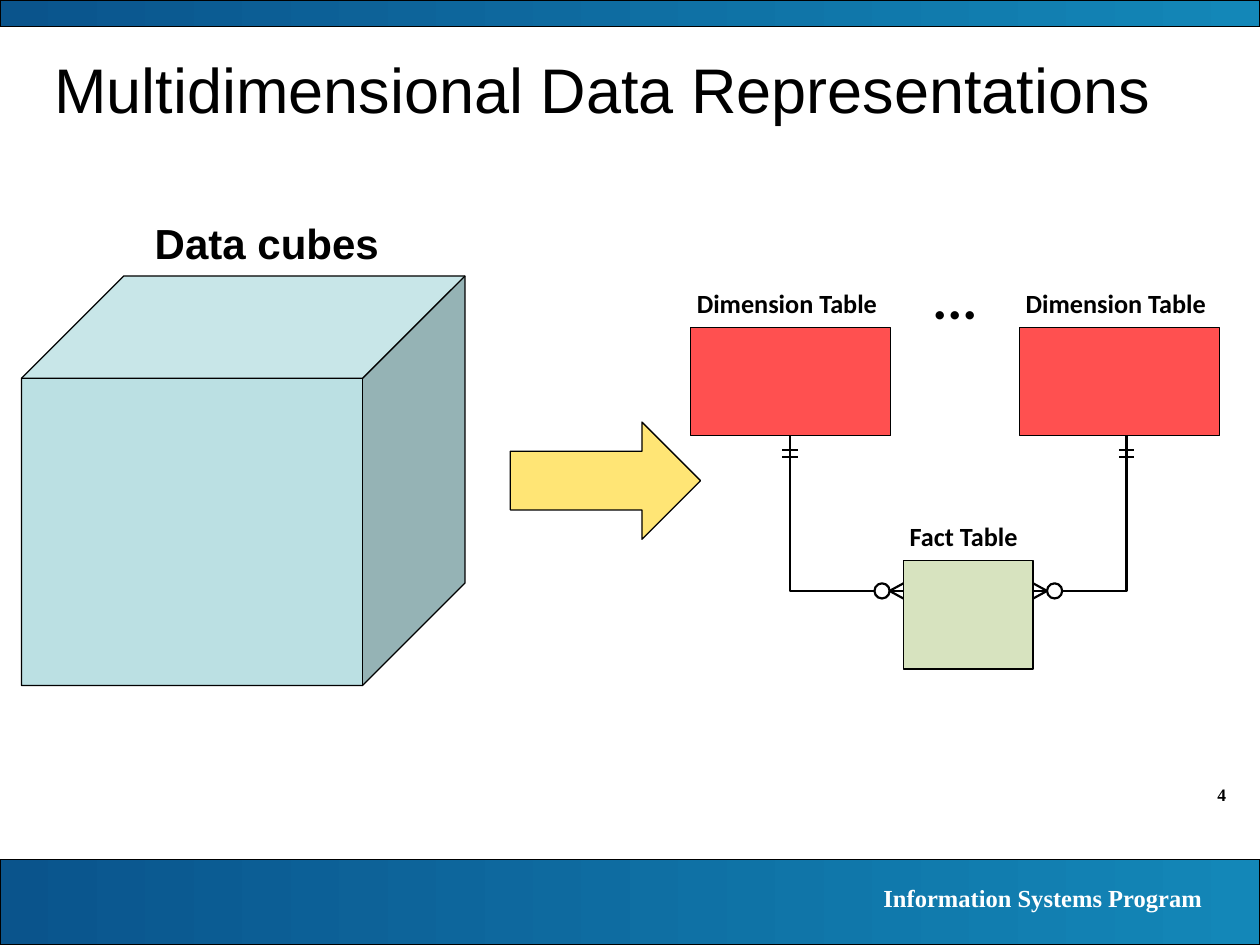
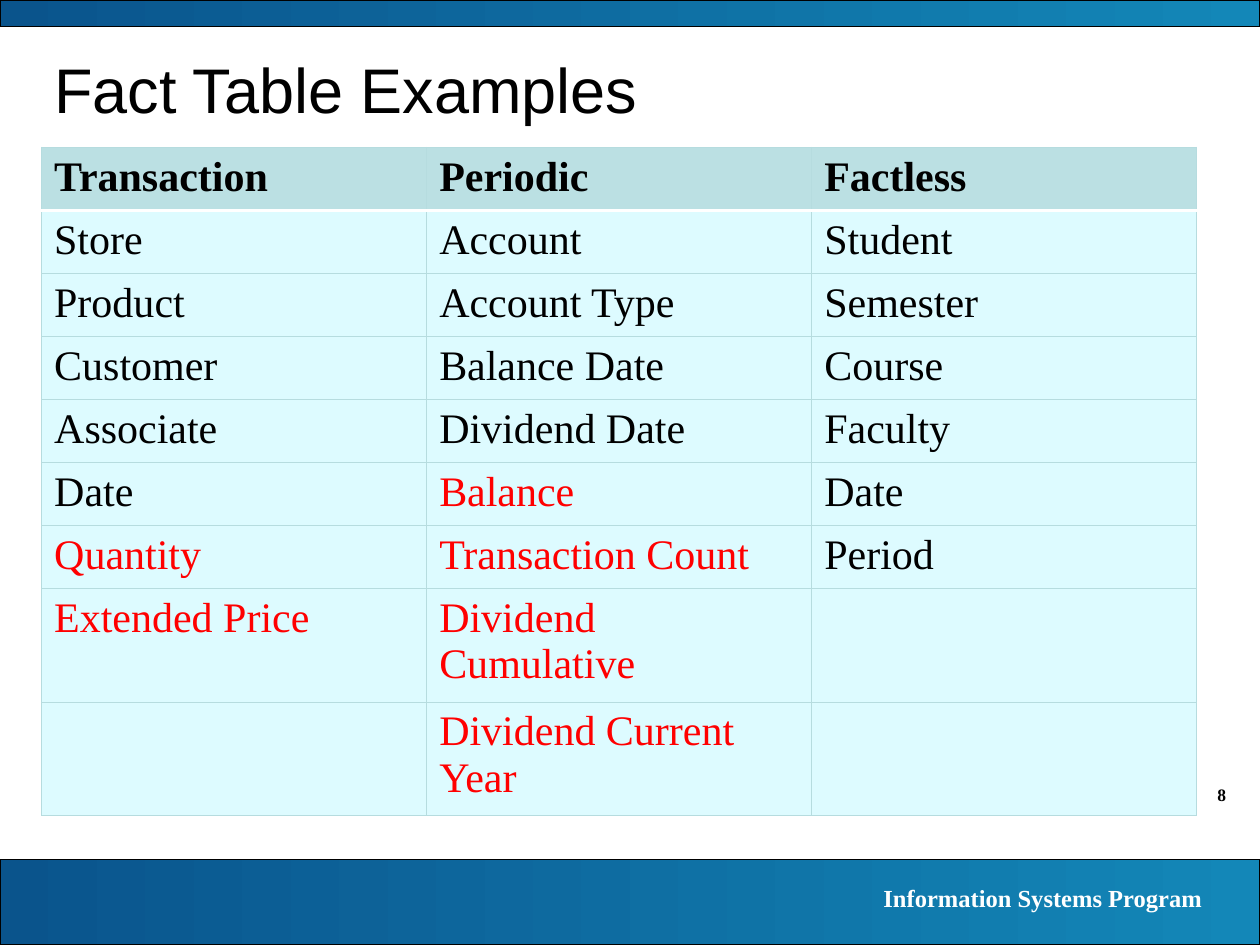
from lxml import etree
from pptx import Presentation
from pptx.dml.color import RGBColor
from pptx.enum.shapes import MSO_SHAPE
from pptx.enum.text import MSO_ANCHOR, MSO_AUTO_SIZE, PP_ALIGN
from pptx.oxml.ns import qn
from pptx.util import Inches, Pt

RECTANGLE, OVAL = MSO_SHAPE.RECTANGLE, MSO_SHAPE.OVAL
CUBE, RIGHT_ARROW = MSO_SHAPE.CUBE, MSO_SHAPE.RIGHT_ARROW
LEFT, RIGHT, MIDDLE = PP_ALIGN.LEFT, PP_ALIGN.RIGHT, MSO_ANCHOR.MIDDLE
NO_FIT = MSO_AUTO_SIZE.NONE

SANS, SERIF, LABEL = "Arial", "Times New Roman", "Calibri"
BLACK, WHITE, RED = "000000", "FFFFFF", "FF0000"
BAND_START, BAND_END = "0A548C", "1387B8"
TEAL, PALE_TEAL, TEAL_BORDER = "BBE0E3", "DDFBFF", "B6DCDF"
DIMENSION_RED, FACT_GREEN, ARROW_YELLOW = "FF5050", "D7E3BF", "FFE575"

FACT_TABLE_EXAMPLES = {
    "Transaction": (
        ["Store", "Product", "Customer", "Associate", "Date"],
        ["Quantity", "Extended Price"],
    ),
    "Periodic": (
        ["Account", "Account Type", "Balance Date", "Dividend Date"],
        ["Balance", "Transaction Count", "Dividend Cumulative", "Dividend Current Year"],
    ),
    "Factless": (
        ["Student", "Semester", "Course", "Faculty", "Date", "Period"],
        [],
    ),
}


def rgb(color):
    """Turn a hex string into a colour."""
    return RGBColor.from_string(color)


def format_text(frame, text, font=SERIF, size=24, color=BLACK, bold=False, align=LEFT):
    """Write one formatted paragraph into a text frame."""
    para = frame.paragraphs[0]
    para.alignment = align
    span = para.add_run()
    span.text = text
    span.font.name = font
    span.font.size = Pt(size)
    span.font.bold = bold
    span.font.color.rgb = rgb(color)


def add_text(page, text, left, top, width, height, inset=True, **style):
    """Add a text box, either wrapped with insets or as a tight label."""
    box = page.shapes.add_textbox(Inches(left), Inches(top), Inches(width), Inches(height))
    frame = box.text_frame
    frame.word_wrap = inset
    if not inset:
        frame.margin_left = frame.margin_right = 0
        frame.margin_top = frame.margin_bottom = 0
    format_text(frame, text, **style)


def outline(shape, fill=None, width=0.75):
    """Give a shape a black line and a plain fill or none."""
    shape.shadow.inherit = False
    shape.line.color.rgb = rgb(BLACK)
    shape.line.width = Pt(width)
    if fill:
        shape.fill.solid()
        shape.fill.fore_color.rgb = rgb(fill)
    else:
        shape.fill.background()


def add_shape(page, kind, left, top, width, height, fill=None, line_width=0.75):
    """Add an outlined preset shape."""
    shape = page.shapes.add_shape(
        kind, Inches(left), Inches(top), Inches(width), Inches(height)
    )
    outline(shape, fill, line_width)
    return shape


def add_strokes(page, *strokes):
    """Draw open strokes, each a list of points in inches, as one outline."""
    paths = [[(Inches(x), Inches(y)) for x, y in stroke] for stroke in strokes]
    builder = page.shapes.build_freeform(*paths[0][0])
    builder.add_line_segments(paths[0][1:], close=False)
    for points in paths[1:]:
        builder.move_to(*points[0])
        builder.add_line_segments(points[1:], close=False)
    outline(builder.convert_to_shape(), width=1.25)


def add_band(page, top, height):
    """Add a full-width gradient band."""
    band = add_shape(page, RECTANGLE, 0, top, 10, height)
    band.fill.gradient()
    band.fill.gradient_angle = 0
    for stop, color, position in zip(
        band.fill.gradient_stops, (BAND_START, BAND_END), (0, 1)
    ):
        stop.color.rgb = rgb(color)
        stop.position = position


def add_page(deck, title, number):
    """Add a titled slide with its bands, footer and number."""
    page = deck.slides.add_slide(deck.slide_layouts[5])
    add_text(page, number, 9, 6.17, 0.83, 0.27, size=10, bold=True, align=RIGHT)
    add_band(page, 6.82, 0.68)
    add_band(page, 0, 0.21)
    add_text(page, "Information Systems Program", 5.55, 6.96, 4.09, 0.34,
             size=14, color=WHITE, bold=True, align=RIGHT)
    heading = page.shapes.title
    heading.left, heading.top = Inches(0.33), Inches(0.33)
    heading.width, heading.height = Inches(9.17), Inches(0.75)
    heading.text_frame.auto_size = NO_FIT
    heading.text_frame.vertical_anchor = MIDDLE
    format_text(heading.text_frame, title, font=SANS, size=36)
    return page


def add_entity(page, name, left, top, width, fill):
    """Add a schema table as a box with its name above."""
    add_text(page, name, left + 0.05, top - 0.32, width, 0.32,
             inset=False, font=LABEL, size=15, bold=True)
    add_shape(page, RECTANGLE, left, top, width, 0.86, fill)


def add_relationship(page, x, top, edge, level, outward):
    """Link a dimension at x to a fact edge with crow's foot marks."""
    apex, far = edge + outward * 0.11, edge + outward * 0.23
    add_strokes(page, [(x, top), (x, level), (far, level)])
    add_strokes(page, *[[(x - 0.06, top + gap), (x + 0.06, top + gap)]
                        for gap in (0.11, 0.17)])
    add_shape(page, OVAL, min(apex, far), level - 0.06, 0.12, 0.12, line_width=1.25)
    add_strokes(page, *[[(apex, level), (edge, level + spread)]
                        for spread in (-0.06, 0, 0.06)])


def set_border(cell, side, color, width):
    """Draw one side of a table cell."""
    border = etree.SubElement(cell._tc.get_or_add_tcPr(), qn(f"a:ln{side}"), w=str(Pt(width)))
    fill = etree.SubElement(border, qn("a:solidFill"))
    etree.SubElement(fill, qn("a:srgbClr"), val=color)


def fill_cell(cell, row, text, color):
    """Write and style one table cell according to its row."""
    header = row == 0
    white_side = {0: "B", 1: "T"}.get(row)
    for side in "LRTB":
        if side == white_side:
            set_border(cell, side, WHITE, 2)
        else:
            set_border(cell, side, TEAL_BORDER, 0.75)
    cell.fill.solid()
    cell.fill.fore_color.rgb = rgb(TEAL if header else PALE_TEAL)
    if text:
        format_text(cell.text_frame, text, color=color, bold=header)


def add_examples_table(page, examples):
    """Add a table of keys in black and measures in red."""
    row_count = 1 + max(len(keys) + len(measures) for keys, measures in examples.values())
    table = page.shapes.add_table(
        row_count, len(examples), Inches(0.33), Inches(1.17), Inches(9.17), Inches(3.65)
    ).table
    for column, (name, (keys, measures)) in enumerate(examples.items()):
        entries = [(text, BLACK) for text in [name] + keys]
        entries += [(text, RED) for text in measures]
        entries += [("", BLACK)] * (row_count - len(entries))
        for row, (text, color) in enumerate(entries):
            fill_cell(table.cell(row, column), row, text, color)


def add_representations(deck):
    """Build the slide that turns a data cube into a star schema."""
    page = add_page(deck, "Multidimensional Data Representations", "4")
    add_shape(page, CUBE, 0.17, 2.19, 3.52, 3.25, TEAL)
    add_shape(page, RIGHT_ARROW, 4.05, 3.35, 1.51, 0.93, ARROW_YELLOW)
    add_text(page, "Data cubes", 1.13, 1.68, 2.24, 0.5, font=SANS, bold=True)
    for left in (5.48, 8.09):
        add_entity(page, "Dimension Table", left, 2.6, 1.59, DIMENSION_RED)
    add_entity(page, "Fact Table", 7.17, 4.45, 1.03, FACT_GREEN)
    for x, edge, outward in ((6.27, 7.17, -1), (8.94, 8.2, 1)):
        add_relationship(page, x, 3.46, edge, 4.69, outward)
    add_text(page, "...", 7.4, 2.09, 0.58, 0.66,
             inset=False, font=LABEL, size=32, bold=True)


def add_fact_examples(deck):
    """Build the slide that compares kinds of fact table."""
    page = add_page(deck, "Fact Table Examples", "8")
    add_examples_table(page, FACT_TABLE_EXAMPLES)


def main():
    """Build and save the deck."""
    deck = Presentation()
    deck.slide_width, deck.slide_height = Inches(10), Inches(7.5)
    add_representations(deck)
    add_fact_examples(deck)
    deck.save("out.pptx")


if __name__ == "__main__":
    main()
